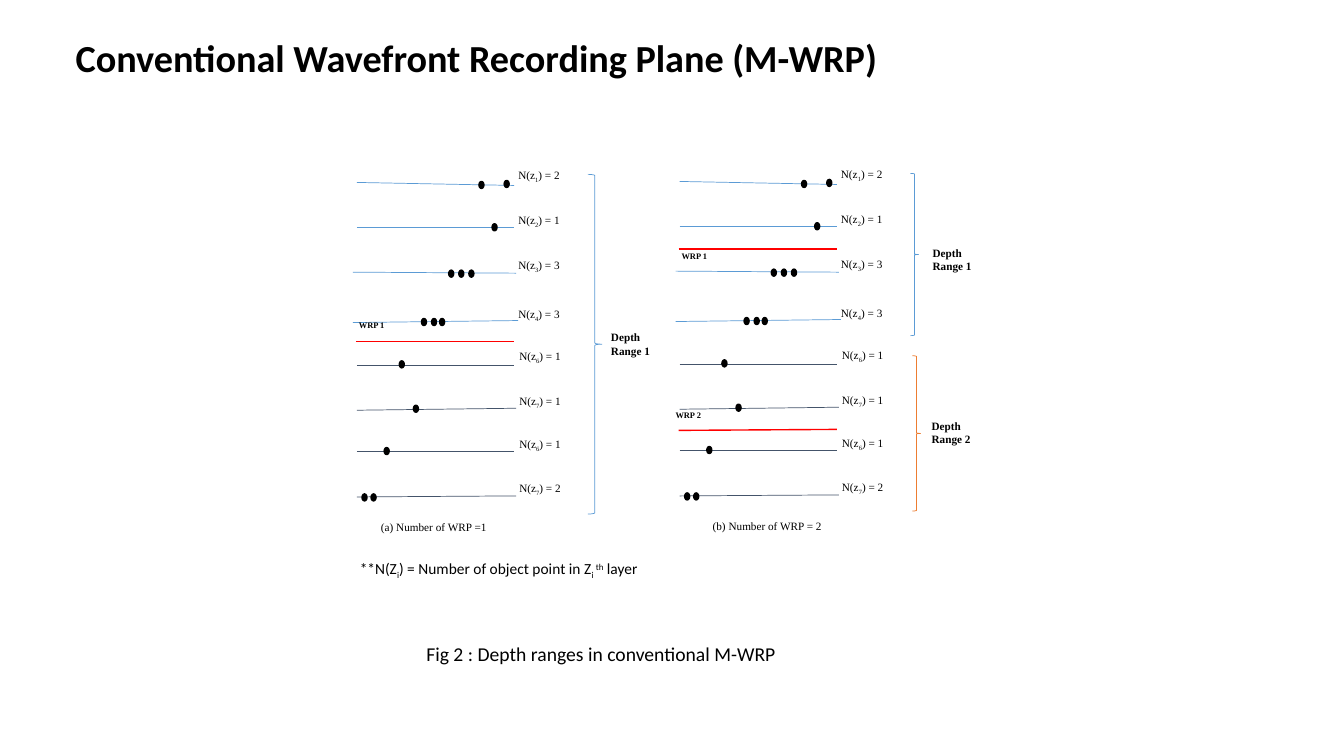
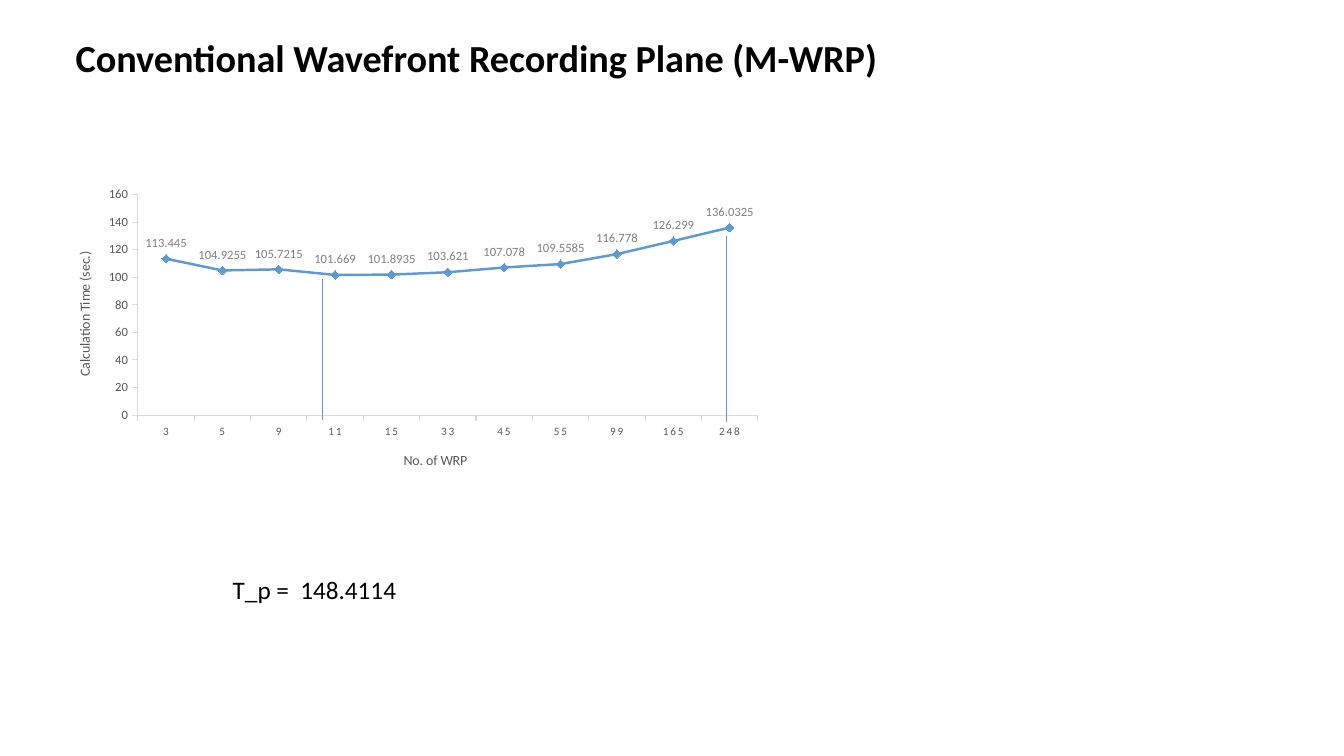
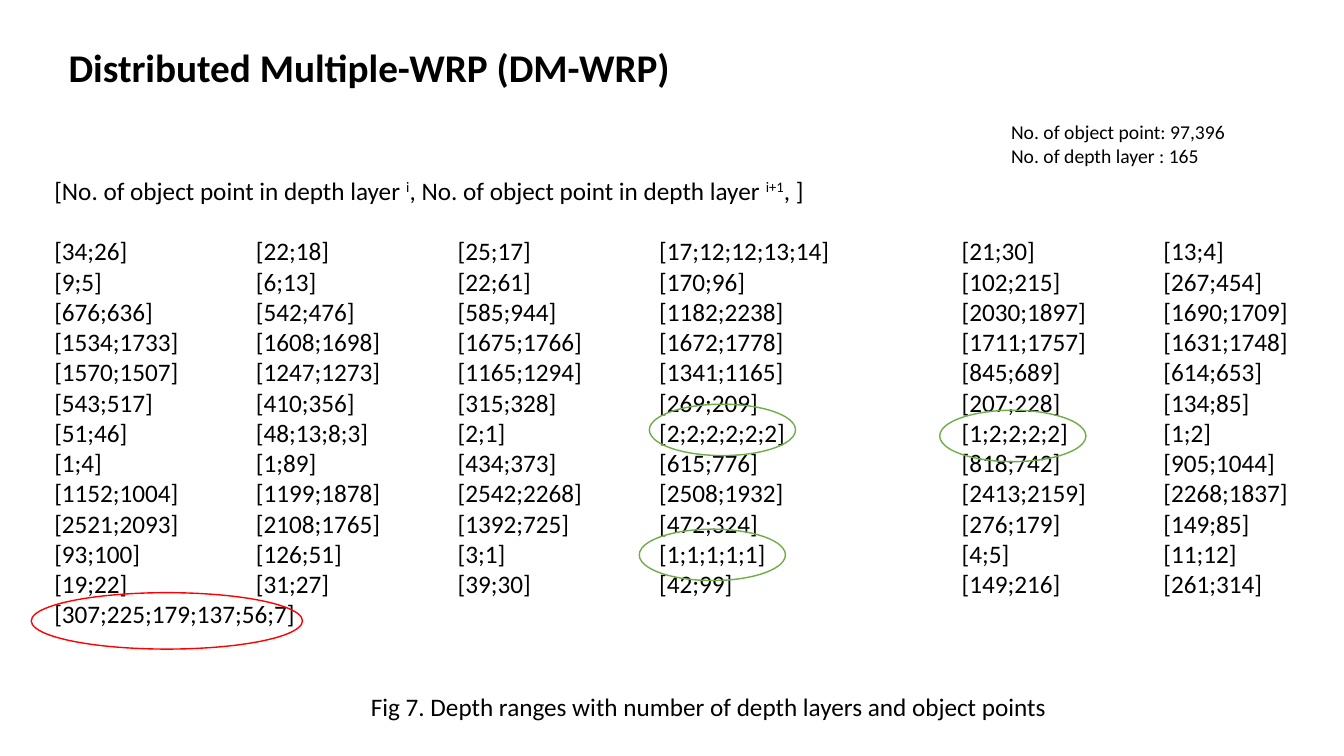
from lxml.etree import SubElement
from pptx import Presentation
from pptx.chart.data import CategoryChartData
from pptx.dml.color import RGBColor
from pptx.enum.chart import XL_CHART_TYPE, XL_LABEL_POSITION, XL_MARKER_STYLE, XL_TICK_MARK
from pptx.enum.shapes import MSO_CONNECTOR, MSO_SHAPE
from pptx.enum.text import MSO_ANCHOR, PP_ALIGN
from pptx.oxml.ns import qn
from pptx.util import Emu, Pt

EMU_PER_PX = 9144
SANS, SERIF = "Calibri", "Times New Roman"
BLACK, BLUE, SLATE, RED = "000000", "5B9BD5", "44546A", "FF0000"
ORANGE, GREEN, GREY, DARK_GREY, PALE = "ED7D31", "70AD47", "808080", "595959", "D9D9D9"
SUB, SUPER = -25000, 30000

LAYERS = [
    ("1", 2, (354, 181, 510, 184), BLUE, (514, 167), [(475, 180), (500, 179)]),
    ("2", 1, (354, 226, 510, 226), BLUE, (514, 212), [(488, 222)]),
    ("3", 3, (350, 270, 512, 271), BLUE, (514, 256), [(445, 268), (455, 268), (465, 268)]),
    ("4", 3, (350, 320, 514, 318), BLUE, (514, 305), [(418, 316), (428, 316), (436, 316)]),
    ("6", 1, (354, 362, 510, 362), SLATE, (515, 347), [(396, 358)]),
    ("7", 1, (354, 407, 512, 405), SLATE, (515, 391), [(410, 402)]),
    ("6", 1, (354, 448, 510, 448), SLATE, (515, 434), [(381, 444)]),
    ("7", 2, (354, 493, 512, 492), SLATE, (515, 478), [(359, 490), (368, 490)]),
]

RANGE_TABLE = """[34;26] [22;18] [25;17] [17;12;12;13;14] [21;30] [13;4]
[9;5] [6;13] [22;61] [170;96] [102;215] [267;454]
[676;636] [542;476] [585;944] [1182;2238] [2030;1897] [1690;1709]
[1534;1733] [1608;1698] [1675;1766] [1672;1778] [1711;1757] [1631;1748]
[1570;1507] [1247;1273] [1165;1294] [1341;1165] [845;689] [614;653]
[543;517] [410;356] [315;328] [269;209] [207;228] [134;85]
[51;46] [48;13;8;3] [2;1] [2;2;2;2;2;2] [1;2;2;2;2] [1;2]
[1;4] [1;89] [434;373] [615;776] [818;742] [905;1044]
[1152;1004] [1199;1878] [2542;2268] [2508;1932] [2413;2159] [2268;1837]
[2521;2093] [2108;1765] [1392;725] [472;324] [276;179] [149;85]
[93;100] [126;51] [3;1] [1;1;1;1;1] [4;5] [11;12]
[19;22] [31;27] [39;30] [42;99] [149;216] [261;314]
[307;225;179;137;56;7]"""

TIMES = {
    "3": 113.445, "5": 104.9255, "9": 105.7215, "11": 101.669, "15": 101.8935,
    "33": 103.621, "45": 107.078, "55": 109.5585, "99": 116.778, "165": 126.299,
    "248": 136.0325,
}


def px(length):
    return Emu(round(length * EMU_PER_PX))


def rgb(color):
    return RGBColor.from_string(color)


def style_font(font, size, color=BLACK, name=SANS, bold=False):
    font.size, font.name, font.bold = Pt(size), name, bold
    font.color.rgb = rgb(color)


def set_tabs(para, stops):
    tabs = SubElement(para._p.get_or_add_pPr(), qn("a:tabLst"))
    for stop in stops:
        SubElement(tabs, qn("a:tab"), pos=str(px(stop)), algn="l")


def add_text(page, area, paragraphs, size=18, font=SANS, bold=False, margin=True, tabs=(), gap=0):
    box = page.shapes.add_textbox(*map(px, area))
    frame = box.text_frame
    frame.word_wrap = True
    if not margin:
        frame.margin_left = frame.margin_right = frame.margin_top = frame.margin_bottom = 0
    for number, spans in enumerate(paragraphs):
        para = frame.add_paragraph() if number else frame.paragraphs[0]
        if number == 1 and gap:
            para.space_before = Pt(gap)
        if tabs:
            set_tabs(para, tabs)
        for text, baseline in [(spans, 0)] if isinstance(spans, str) else spans:
            span = para.add_run()
            span.text = text
            style_font(span.font, size, name=font, bold=bold)
            if baseline:
                span._r.get_or_add_rPr().set("baseline", str(baseline))
    return box


def add_line(page, ends, color, weight=0.5):
    line = page.shapes.add_connector(MSO_CONNECTOR.STRAIGHT, *map(px, ends))
    line.line.color.rgb = rgb(color)
    line.line.width = Pt(weight)
    SubElement(line._element.spPr, qn("a:effectLst"))


def add_outline(page, kind, area, color, weight=1.0, fill=None):
    shape = page.shapes.add_shape(kind, *map(px, area))
    shape.shadow.inherit = False
    shape.line.color.rgb = rgb(color)
    shape.line.width = Pt(weight)
    if fill:
        shape.fill.solid()
        shape.fill.fore_color.rgb = rgb(fill)
    else:
        shape.fill.background()


def add_page(deck, title, area, size, spacing=1.0):
    page = deck.slides.add_slide(deck.slide_layouts[5])
    box = page.shapes.title
    box.left, box.top, box.width, box.height = map(px, area)
    frame = box.text_frame
    frame.text = title
    frame.word_wrap = True
    frame.vertical_anchor = MSO_ANCHOR.MIDDLE
    para = frame.paragraphs[0]
    para.alignment = PP_ALIGN.LEFT
    para.line_spacing = spacing
    style_font(para.runs[0].font, size, bold=True)
    return page


def add_conventional_page(deck):
    return add_page(deck, "Conventional Wavefront Recording Plane (M-WRP)", (65, 33, 1027, 54), 27.3, 0.9)


def add_layers(page, dx, dy):
    for index, count, (x1, y1, x2, y2), color, (left, top), dots in LAYERS:
        add_line(page, (x1 + dx, y1 + dy, x2 + dx, y2 + dy), color)
        add_text(page, (left + dx, top + dy, 68, 30), [[("N(z", 0), (index, SUB), (f") = {count}", 0)]],
                 size=8, font=SERIF, margin=False)
        for x, y in dots:
            add_outline(page, MSO_SHAPE.OVAL, (x + dx, y + dy, 5, 7), BLACK, fill=BLACK)


def add_plane(page, name, ends, label_at):
    add_line(page, ends, RED, 1)
    add_text(page, (*label_at, 42, 23), [name], size=6, font=SERIF, bold=True, margin=False)


def add_range(page, number, brace, label_at, color=BLUE):
    add_outline(page, MSO_SHAPE.RIGHT_BRACE, brace, color, 0.5)
    add_text(page, (*label_at, 67, 27), ["Depth", f"Range {number}"],
             size=8, font=SERIF, bold=True, margin=False)


def place(element, position, **fractions):
    for old in element.findall(qn("c:layout")):
        element.remove(old)
    layout = element.makeelement(qn("c:layout"))
    element.insert(position, layout)
    manual = SubElement(layout, qn("c:manualLayout"))
    if "w" in fractions:
        SubElement(manual, qn("c:layoutTarget"), val="inner")
    for side in "xy":
        SubElement(manual, qn(f"c:{side}Mode"), val="edge")
    for key, value in fractions.items():
        SubElement(manual, qn(f"c:{key}"), val=str(value))


def style_axis(axis, title, size, x, y):
    axis.has_major_gridlines = False
    axis.major_tick_mark = XL_TICK_MARK.OUTSIDE
    axis.format.line.color.rgb = rgb(PALE)
    axis.format.line.width = Pt(0.75)
    style_font(axis.tick_labels.font, size, DARK_GREY)
    frame = axis.axis_title.text_frame
    frame.text = title
    style_font(frame.paragraphs[0].runs[0].font, 10, DARK_GREY)
    place(axis.axis_title.element, 1, x=x, y=y)


def add_time_chart(page, area):
    data = CategoryChartData()
    data.categories = list(TIMES)
    data.add_series("Series 1", list(TIMES.values()))
    chart = page.shapes.add_chart(XL_CHART_TYPE.LINE_MARKERS, *map(px, area), data).chart
    chart.has_legend = chart.has_title = False
    style_font(chart.font, 10)
    style_axis(chart.category_axis, "No. of WRP", 8, 0.485, 0.88)
    chart.element.xpath(".//c:catAx/c:txPr//a:defRPr")[0].set("spc", "120")
    scale = chart.value_axis
    style_axis(scale, "Calculation Time (sec.)", 9, 0.03, 0.22)
    scale.axis_title.element.find(".//" + qn("a:bodyPr")).set("rot", "-5400000")
    scale.minimum_scale, scale.maximum_scale, scale.major_unit = 0, 160, 20
    plot = chart.plots[0]
    plot.vary_by_categories = False
    series = plot.series[0]
    series.smooth = False
    series.format.line.color.rgb = rgb(BLUE)
    series.format.line.width = Pt(1.75)
    series.marker.style = XL_MARKER_STYLE.DIAMOND
    series.marker.size = 6
    series.marker.format.fill.solid()
    series.marker.format.fill.fore_color.rgb = rgb(BLUE)
    series.marker.format.line.color.rgb = rgb(BLUE)
    plot.has_data_labels = True
    labels = plot.data_labels
    labels.show_value = True
    labels.position = XL_LABEL_POSITION.ABOVE
    labels.number_format, labels.number_format_is_linked = "General", False
    style_font(labels.font, 9, GREY)
    place(chart.element.find(".//" + qn("c:plotArea")), 0, x=0.12, y=0.04, w=0.86, h=0.73)


def build_depth_ranges(deck):
    page = add_conventional_page(deck)
    add_layers(page, 0, 0)
    add_plane(page, "WRP 1", (353, 339, 510, 339), (356, 318))
    add_range(page, 1, (583, 173, 14, 337), (606, 328))
    add_layers(page, 320, -1)
    add_plane(page, "WRP 1", (673, 247, 830, 247), (676, 249))
    add_plane(page, "WRP 2", (673, 427, 830, 426), (670, 407))
    add_range(page, 1, (903, 172, 8, 161), (925, 244))
    add_range(page, 2, (905, 353, 8, 154), (924, 416), ORANGE)
    add_text(page, (368, 511, 210, 53), ["(a) Number of WRP =1"], size=8, font=SERIF)
    add_text(page, (697, 510, 216, 53), ["(b) Number of WRP = 2"], size=8, font=SERIF)
    add_text(page, (347, 550, 320, 29), [[
        ("**N(Z", 0), ("i", SUB), (") = Number of object point in Z", 0),
        ("i ", SUB), ("th", SUPER), (" layer", 0)]], size=11)
    add_text(page, (413, 632, 390, 34), ["Fig 2 : Depth ranges in conventional M-WRP"], size=14)


def build_time_chart(deck):
    page = add_conventional_page(deck)
    add_time_chart(page, (51, 181, 715, 300))
    add_line(page, (320, 277, 320, 417), BLUE)
    add_line(page, (720, 234, 720, 419), BLUE)
    add_text(page, (221, 565, 190, 40), ["T_p =  148.4114"])


def build_distributed(deck):
    page = add_page(deck, "Distributed Multiple-WRP (DM-WRP)", (58, 38, 640, 57), 28)
    heading = [("[No. of object point in depth layer ", 0), ("i", SUPER),
               (", No. of object point in depth layer ", 0), ("i+1", SUPER), (", ]", 0)]
    rows = ["\t".join(row.split()) for row in RANGE_TABLE.splitlines()]
    add_text(page, (44, 169, 1260, 464), [heading, *rows], tabs=(200, 400, 600, 900, 1100), gap=21.6)
    add_text(page, (993, 114, 284, 81), ["No. of object point: 97,396", "No. of depth layer : 165"], size=14)
    for left, top in ((634, 525), (644, 401), (932, 407)):
        add_outline(page, MSO_SHAPE.OVAL, (left, top, 145, 51), GREEN)
    add_outline(page, MSO_SHAPE.OVAL, (31, 588, 269, 56), RED)
    add_text(page, (358, 681, 720, 40), ["Fig 7. Depth ranges with number of depth layers and object points"])


def main():
    deck = Presentation()
    deck.slide_width, deck.slide_height = px(1333), px(750)
    build_depth_ranges(deck)
    build_time_chart(deck)
    build_distributed(deck)
    deck.save("out.pptx")


if __name__ == "__main__":
    main()
